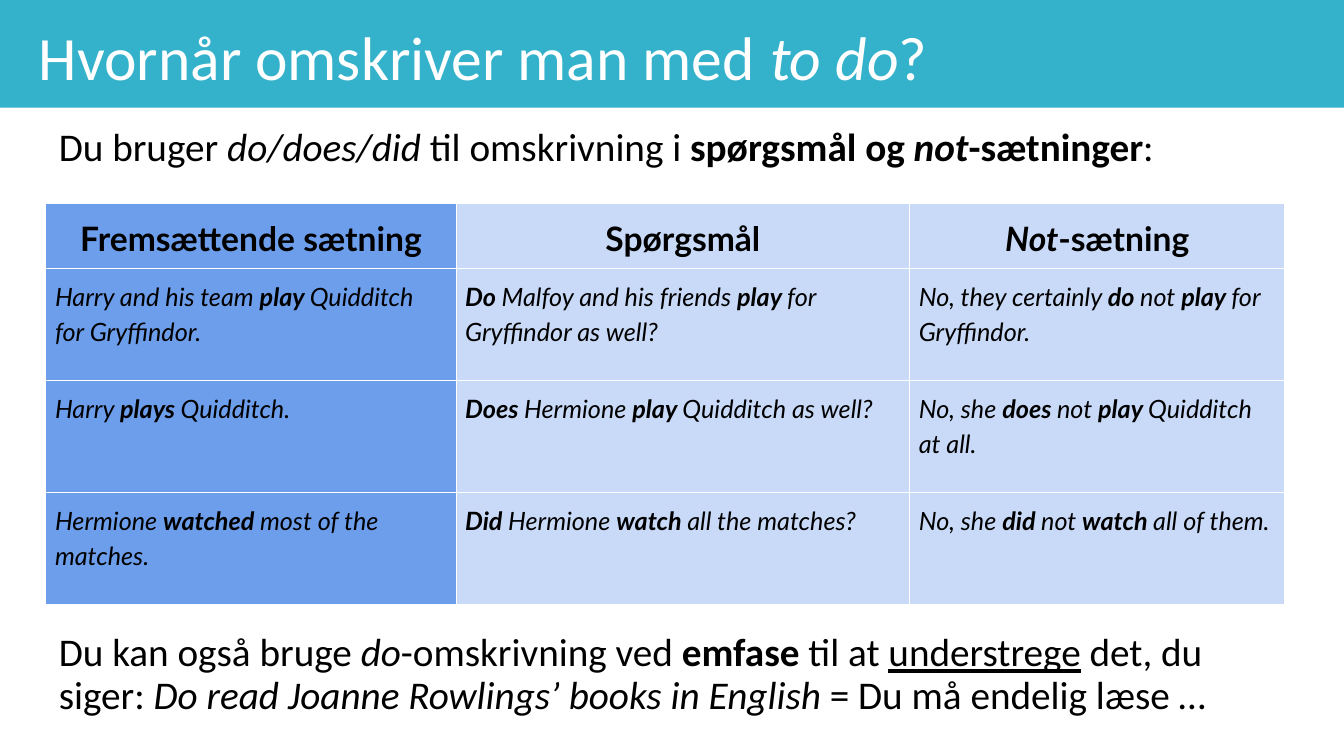
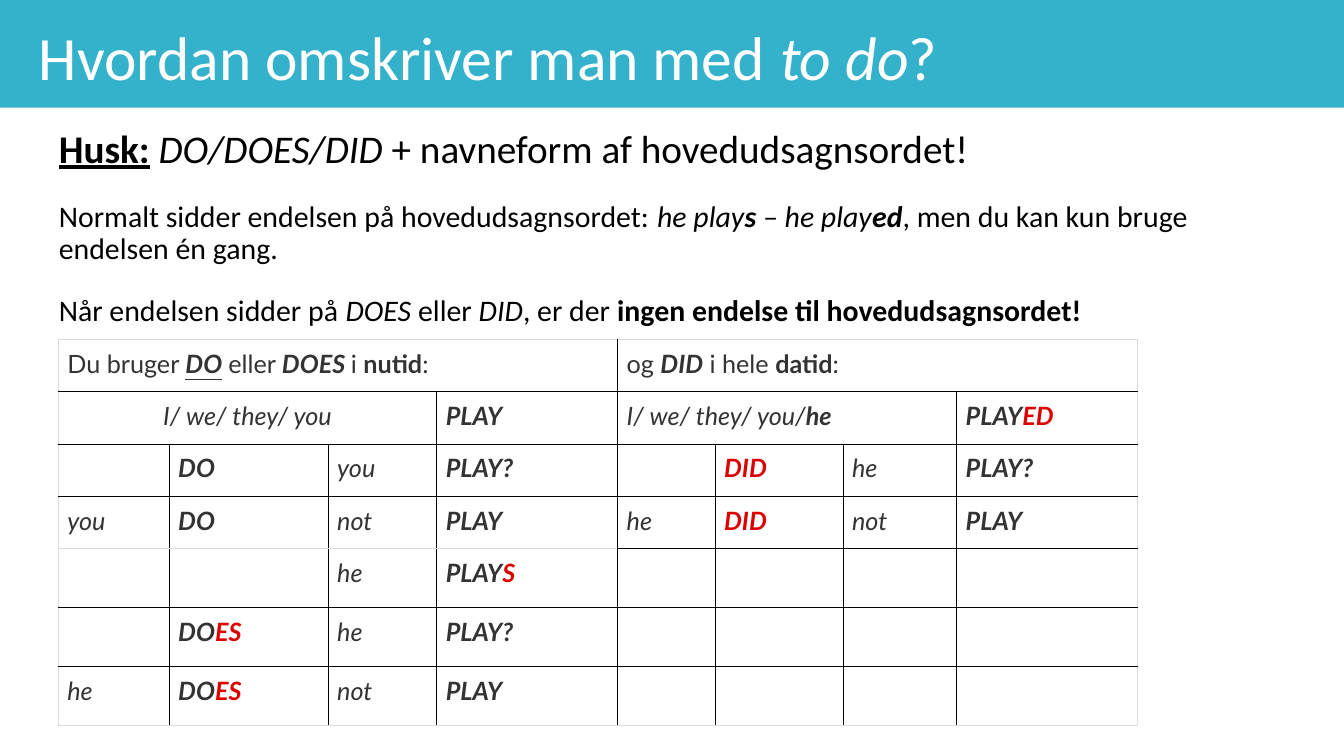
from dataclasses import dataclass

import lxml.etree
import pptx
import pptx.dml.color
import pptx.enum.shapes
import pptx.enum.text
import pptx.oxml.ns
import pptx.util

Pt = pptx.util.Pt
qn = pptx.oxml.ns.qn
RGB = pptx.dml.color.RGBColor.from_string
ALIGN = pptx.enum.text.PP_ALIGN
ANCHOR = pptx.enum.text.MSO_ANCHOR


@dataclass(frozen=True)
class Theme:
    """Colours, fonts and type sizes of the deck."""
    band: str = "34B2CB"
    white: str = "FFFFFF"
    black: str = "000000"
    ink: str = "333333"
    ending: str = "DD0000"
    edge: str = "DBDBDB"
    blue: str = "6D9EEB"
    pale: str = "C9DAF8"
    text_font: str = "Calibri"
    table_font: str = "Lato"
    title: float = 44
    body: float = 28
    note: float = 21.33
    head: float = 24
    cell: float = 18


T = Theme()
WIDTH, HEIGHT, BAND_HEIGHT = 960, 540, 77
TITLE_BOX = (18, 0, 894, BAND_HEIGHT)


def write(p, markup, font, size, color, spacing=1.0, before=0, align=ALIGN.LEFT):
    """Add runs to p: * toggles bold, ~ italic, _ underline, ^ the ending colour."""
    p.alignment, p.line_spacing = align, spacing
    p.space_before, p.space_after = Pt(before), Pt(0)
    on = dict.fromkeys("*~_^", False)
    text = ""
    for ch in markup + "*":
        if ch not in on:
            text += ch
            continue
        if text:
            r = p.add_run()
            r.text = text
            f = r.font
            f.name, f.size = font, Pt(size)
            f.bold, f.italic, f.underline = on["*"], on["~"], on["_"]
            f.color.rgb = RGB(T.ending if on["^"] else color)
            text = ""
        on[ch] = not on[ch]


def place(sp, box, anchor):
    """Move a placeholder to box and return its text frame."""
    sp.left, sp.top, sp.width, sp.height = map(Pt, box)
    tf = sp.text_frame
    tf.word_wrap, tf.vertical_anchor = True, anchor
    tf.auto_size = pptx.enum.text.MSO_AUTO_SIZE.NONE
    tf.margin_left = tf.margin_right = tf.margin_top = tf.margin_bottom = Pt(9.6)
    return tf


def add_band(s):
    """Put the title band behind the placeholders of a slide."""
    sp = s.shapes.add_shape(pptx.enum.shapes.MSO_SHAPE.RECTANGLE,
                            0, 0, Pt(WIDTH), Pt(BAND_HEIGHT))
    sp.shadow.inherit = False
    sp.fill.solid()
    sp.fill.fore_color.rgb = RGB(T.band)
    sp.line.fill.background()
    s.shapes.element.insert(2, sp.element)


def add_slide(prs, title, box, paragraphs):
    """Add a slide with a title and body paragraphs (markup, size, space before)."""
    s = prs.slides.add_slide(prs.slide_layouts[1])
    add_band(s)
    tf = place(s.shapes.title, TITLE_BOX, ANCHOR.BOTTOM)
    write(tf.paragraphs[0], title, T.text_font, T.title, T.white, 0.9)
    tf = place(s.placeholders[1], box, ANCHOR.TOP)
    for i, (markup, size, before) in enumerate(paragraphs):
        p = tf.add_paragraph() if i else tf.paragraphs[0]
        write(p, markup, T.text_font, size, T.black, 0.9, before)
        pPr = p._p.get_or_add_pPr()
        pPr.set("marL", "0")
        pPr.set("indent", "0")
        lxml.etree.SubElement(pPr, qn("a:buNone"))
    return s


def style_cell(cell, fill, edges):
    """Set the fill, margins and the border colour of each side of a cell."""
    cell.margin_left = cell.margin_right = Pt(6.5)
    cell.margin_top = cell.margin_bottom = Pt(6.4)
    tcPr = cell._tc.get_or_add_tcPr()
    for side, color in edges.items():
        ln = lxml.etree.SubElement(tcPr, qn("a:ln" + side), w=str(Pt(0.75)))
        solid = lxml.etree.SubElement(ln, qn("a:solidFill"))
        lxml.etree.SubElement(solid, qn("a:srgbClr"), val=color)
    cell.fill.solid()
    cell.fill.fore_color.rgb = RGB(fill)


def add_grid(s, origin, widths, heights, fill_of, edge_of):
    """Add a table at origin, with fills by column and edges by place."""
    frame = s.shapes.add_table(len(heights), len(widths), *map(Pt, origin),
                               Pt(sum(widths)), Pt(sum(heights)))
    table = frame.table
    table.first_row = table.horz_banding = False
    for column, width in zip(table.columns, widths):
        column.width = Pt(width)
    for row, height in zip(table.rows, heights):
        row.height = Pt(height)
    for r in range(len(heights)):
        for c in range(len(widths)):
            edges = {side: edge_of(r, c, side) for side in "LRTB"}
            style_cell(table.cell(r, c), fill_of(c), edges)
    return table


def add_sentence_table(s, origin):
    """Add the table of statements, questions and not-sentences."""
    rows = [
        ["*Fremsættende sætning*", "*Spørgsmål*", "*~Not~-sætning*"],
        ["~Harry and his team *play *Quidditch for Gryffindor.",
         "~*Do *Malfoy and his friends *play *for Gryffindor as well?",
         "~No, they certainly *do *not *play *for Gryffindor."],
        ["~Harry *plays *Quidditch.",
         "~*Does *Hermione *play *Quidditch as well?",
         "~No, she *does *not *play *Quidditch at all."],
        ["~Hermione *watched *most of the matches.",
         "~*Did *Hermione *watch *all the matches?",
         "~No, she *did *not *watch *all of them."],
    ]
    table = add_grid(s, origin, [293, 324, 268], [46.2] + [80] * 3,
                     lambda c: T.pale if c else T.blue, lambda r, c, side: T.white)
    for r, row in enumerate(rows):
        size, align = (T.cell, ALIGN.LEFT) if r else (T.head, ALIGN.CENTER)
        for c, markup in enumerate(row):
            write(table.cell(r, c).text_frame.paragraphs[0], markup,
                  T.table_font, size, T.black, 1.15, align=align)


def verb_edge(r, c, side):
    """Grey on the outside and between DO and DOES, black elsewhere."""
    last = 4 if r == 0 else 7  # the merged cell of the top row starts at column 4
    outer = (side, c) in (("L", 0), ("R", last)) or (side, r) in (("T", 0), ("B", 6))
    divider = c < 4 and (side, r) in (("B", 3), ("T", 4))
    return T.edge if outer or divider else T.black


def add_verb_table(s, origin):
    """Add the table of DO, DOES and DID forms."""
    rows = [
        {0: "Du bruger *~_DO_~ *eller *~DOES ~*i *nutid*:",
         4: "og *~DID~* i hele *datid*:"},
        {0: "~I/ we/ they/ you", 3: "~*PLAY", 4: "~I/ we/ they/ you/*he",
         7: "~*PLAY^ED"},
        {1: "~*DO", 2: "~you", 3: "~*PLAY?", 5: "~*^DID", 6: "~he", 7: "~*PLAY?"},
        {0: "~you", 1: "~*DO", 2: "~not", 3: "~*PLAY",
         4: "~he", 5: "~*^DID", 6: "~not", 7: "~*PLAY"},
        {2: "~he", 3: "~*PLAY^S"},
        {1: "~*DO^ES", 2: "~he", 3: "~*PLAY?"},
        {0: "~he", 1: "~*DO^ES", 2: "~not", 3: "~*PLAY"},
    ]
    widths = [79.2, 113.6, 77.6, 129.2, 69.6, 91.4, 81.2, 129.2]
    table = add_grid(s, origin, widths, [37.4] * 4 + [42.1] * 3,
                     lambda c: T.white, verb_edge)
    for r, first, last in ((0, 0, 3), (0, 4, 7), (1, 0, 2), (1, 4, 6)):
        table.cell(r, first).merge(table.cell(r, last))
    for r, row in enumerate(rows):
        for c, markup in row.items():
            align = ALIGN.CENTER if (r, c) == (1, 0) else ALIGN.LEFT
            write(table.cell(r, c).text_frame.paragraphs[0], markup,
                  T.table_font, T.cell, T.ink, align=align)


def build_when(prs):
    """Build the slide on when to use do."""
    s = add_slide(prs, "Hvornår omskriver man med ~to do~?", (32.4, 81.4, 894, 450), [
        ("Du bruger ~do/does/did ~til omskrivning i "
         "*spørgsmål og ~not~-sætninger*:", T.body, 0),
        ("Du kan også bruge ~do~-omskrivning ved *emfase *til at _understrege_ det, "
         "du siger: ~Do read Joanne Rowlings’ books in English ~"
         "= Du må endelig læse …", T.body, 330.8),
    ])
    add_sentence_table(s, (32.8, 145.6))


def build_how(prs):
    """Build the slide on how to use do."""
    s = add_slide(prs, "Hvordan omskriver man med ~to do~?", (32.4, 82.8, 894, 397), [
        ("*_Husk:_* ~DO/DOES/DID~ + navneform af hovedudsagnsordet!", T.body, 0),
        ("Normalt sidder endelsen på hovedudsagnsordet: ~he play*s* – he play*ed*~, "
         "men du kan kun bruge endelsen én gang.", T.note, T.note),
        ("Når endelsen sidder på ~DOES ~eller~ DID~, er der "
         "*ingen endelse til hovedudsagnsordet!*", T.note, T.note),
    ])
    add_verb_table(s, (41.6, 242.4))


def main():
    """Build and save the deck."""
    prs = pptx.Presentation()
    prs.slide_width, prs.slide_height = Pt(WIDTH), Pt(HEIGHT)
    build_when(prs)
    build_how(prs)
    prs.save("out.pptx")


main()
